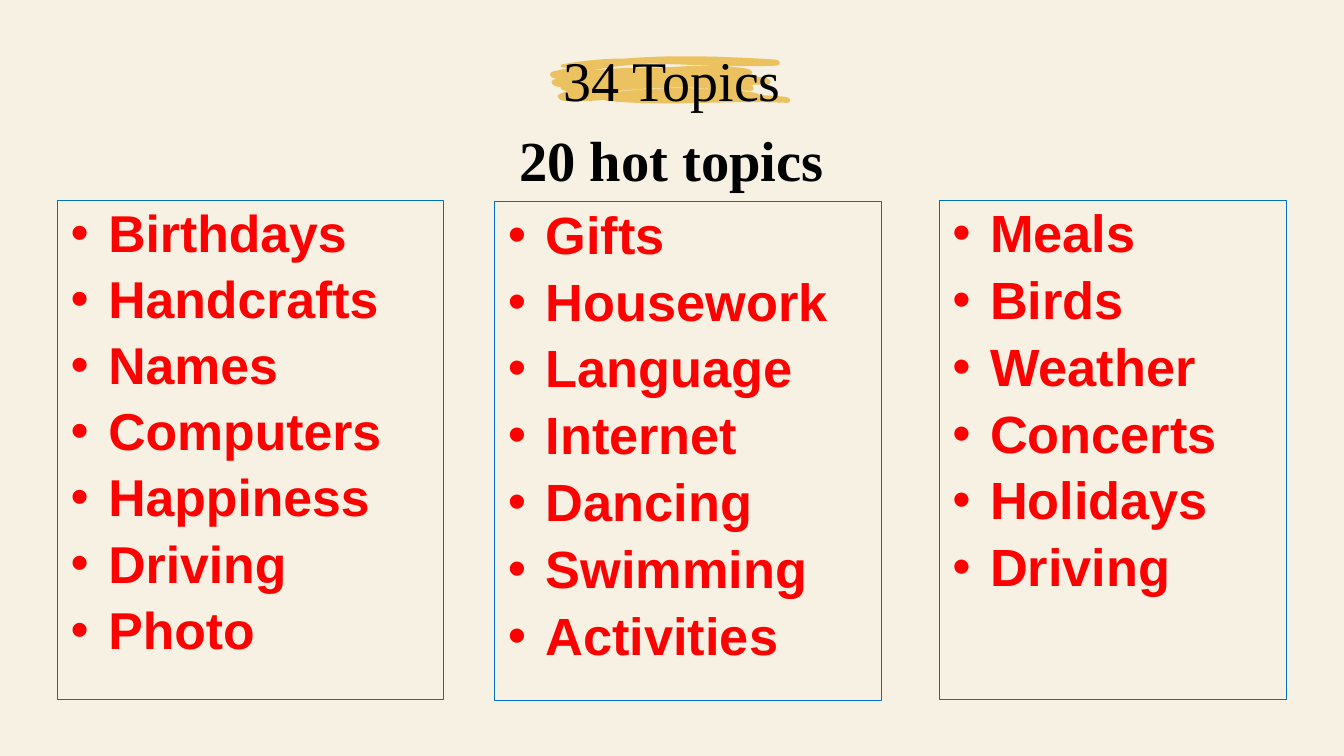
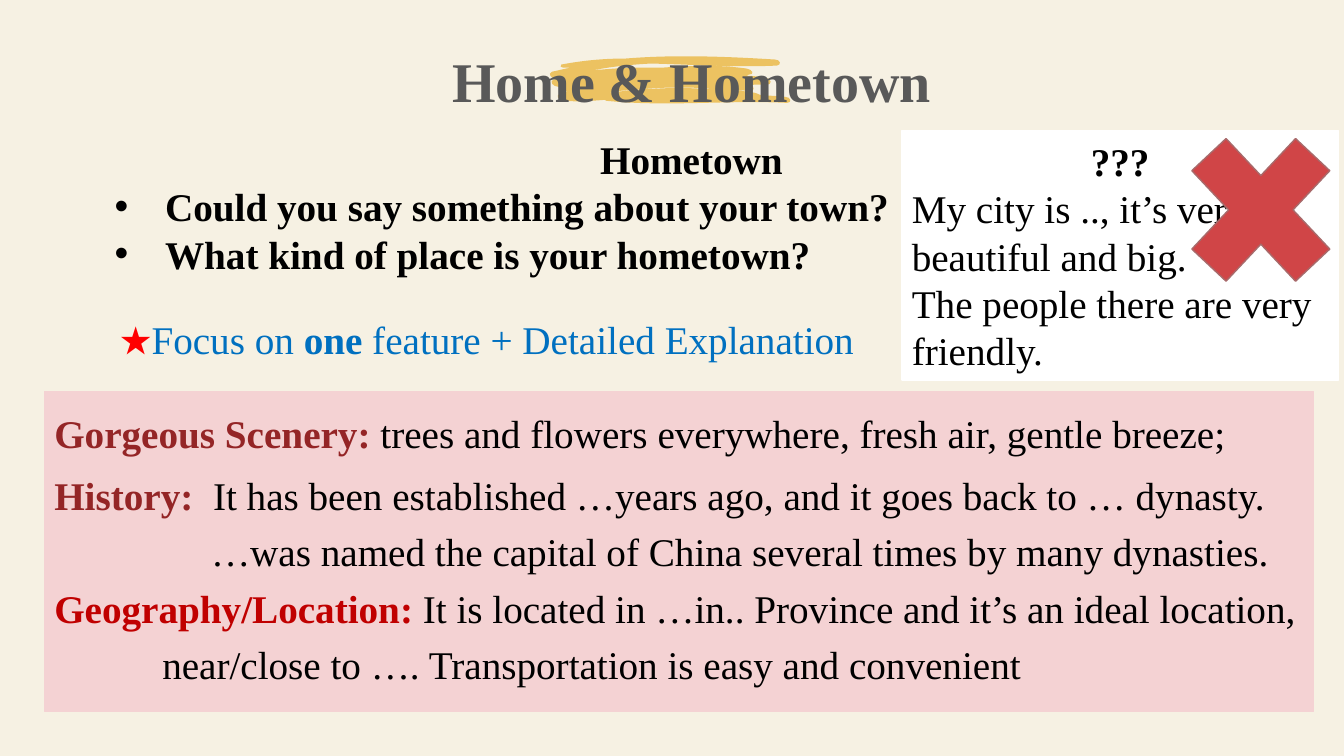
from math import cos, radians, sin

from lxml import etree
from pptx import Presentation
from pptx.dml.color import RGBColor
from pptx.enum.shapes import MSO_SHAPE
from pptx.enum.text import MSO_ANCHOR, MSO_AUTO_SIZE, PP_ALIGN
from pptx.oxml.ns import qn
from pptx.util import Cm, Pt

RECTANGLE, CROSS = MSO_SHAPE.RECTANGLE, MSO_SHAPE.MATH_MULTIPLY
TOP, MIDDLE = MSO_ANCHOR.TOP, MSO_ANCHOR.MIDDLE
GROW = MSO_AUTO_SIZE.SHAPE_TO_FIT_TEXT
LEFT, CENTER, JUSTIFY = PP_ALIGN.LEFT, PP_ALIGN.CENTER, PP_ALIGN.JUSTIFY

COLORS = {
    "paper": "F6F0E1", "brush": "ECC261", "black": "000000",
    "gray": "595959", "white": "FFFFFF", "red": "FF0000",
    "blue": "0070C0", "pink": "F4D2D3", "maroon": "942526",
    "crimson": "C00000", "cross": "D04547", "cross_edge": "A86A6B",
}
SERIF, SANS = "Times New Roman", "Arial"
PAGE_SIZE = (33.87, 19.05)
WIDE_INSETS = (0.33, 0.18, 0.33, 0.18)
INSETS = (0.25, 0.13, 0.25, 0.13)

# Formats of the text spans
BODY = {"name": SERIF, "size": 28, "bold": False, "color": "black"}
STRONG = BODY | {"bold": True}
LABEL = STRONG | {"color": "maroon"}
BLUE = BODY | {"color": "blue"}

# Brush stroke as it lies on the page: a start point, then Bezier curves
BRUSH_TILT = 15.6
BRUSH_FRAME = (242, 98)
BRUSH_CENTER = (121, 26)
BRUSH_START = (234, 42)
BRUSH_CURVES = """
226 41 217 41 209 40  208 39 206 39 204 38  186 35 169 34 151 34
135 33 120 33 105 34  88 34 72 37 55 38  84 34 114 32 145 33
163 34 181 35 198 36  204 37 204 32 200 30  205 30 210 30 215 30
222 30 221 24 214 23  208 22 201 21 195 21  196 21 197 20 198 20
204 20 202 15 196 14  168 10 141 11 113 13  107 13 101 13 95 13
77 13 60 14 42 16  61 12 81 10 101 9  143 10 185 13 226 11
231 10 229 5 224 5  175 2 124 0 76 4  54 4 33 6 12 10
10 11 12 14 14 13  17 13 19 13 22 13  15 14 9 16 3 17
-2 19 2 24 7 24  7 24 7 24 8 24  7 24 6 25 4 25
0 27 4 32 9 32  10 32 10 32 11 32  11 34 13 36 16 36
17 36 18 36 19 36  16 37 13 38 11 39  6 40 9 45 14 46
28 47 42 46 55 45  56 46 56 46 57 46  118 52 175 45 236 48
241 48 240 42 234 42
"""

HOT_TOPICS = [
    ((12.47, 5.09, 9.75, 12.57), 37.4,
     ["Gifts", "Housework", "Language", "Internet", "Dancing",
      "Swimming", "Activities"]),
    ((23.67, 5.05, 8.76, 12.57), 37.4,
     ["Meals", "Birds", "Weather", "Concerts", "Holidays", "Driving"]),
    ((1.45, 5.05, 9.74, 12.57), 37,
     ["Birthdays", "Handcrafts", "Names", "Computers", "Happiness",
      "Driving", "Photo"]),
]


def color(name):
    return RGBColor.from_string(COLORS[name])


def add_figure(page, kind, box, fill=None, line=None, weight=1):
    figure = page.shapes.add_shape(kind, *map(Cm, box))
    figure.shadow.inherit = False
    if fill:
        figure.fill.solid()
        figure.fill.fore_color.rgb = color(fill)
    else:
        figure.fill.background()
    if line:
        figure.line.color.rgb = color(line)
        figure.line.width = Pt(weight)
    else:
        figure.line.fill.background()
    return figure


def set_bullet(para, margin, indent, bullet):
    """Set the indents in centimetres and add a bullet if one is given."""
    properties = para._p.get_or_add_pPr()
    properties.set("marL", str(Cm(margin)))
    properties.set("indent", str(Cm(indent)))
    if bullet:
        font = etree.SubElement(properties, qn("a:buFont"))
        font.set("typeface", SANS)
        etree.SubElement(properties, qn("a:buChar")).set("char", bullet)


def write(shape, paragraphs, insets=INSETS, anchor=TOP, wrap=True):
    """Fill a shape; each paragraph is (its spans, its format)."""
    frame = shape.text_frame
    frame.word_wrap = wrap
    frame.vertical_anchor = anchor
    for side, inset in zip(("left", "top", "right", "bottom"), insets):
        setattr(frame, f"margin_{side}", Cm(inset))
    for index, (spans, layout) in enumerate(paragraphs):
        para = frame.add_paragraph() if index else frame.paragraphs[0]
        layout = {"alignment": LEFT} | layout
        set_bullet(para, layout.pop("margin", 0), layout.pop("indent", 0),
                   layout.pop("bullet", None))
        for key, value in layout.items():
            setattr(para, key, value)
        for text, look in spans:
            span = para.add_run()
            span.text = text
            look = look | {"size": Pt(look["size"])}
            span.font.color.rgb = color(look.pop("color"))
            for key, value in look.items():
                setattr(span.font, key, value)


def add_text(page, box, paragraphs, grow=False, **options):
    shape = page.shapes.add_textbox(*map(Cm, box))
    write(shape, paragraphs, **options)
    if grow:
        shape.text_frame.auto_size = GROW


def add_brush(page, box):
    """Draw the tilted brush stroke, scaled to its box before the tilt."""
    left, top, width, height = map(Cm, box)
    turn = radians(-BRUSH_TILT)

    def place(x, y):
        x, y = x - BRUSH_CENTER[0], y - BRUSH_CENTER[1]
        across = x * cos(turn) - y * sin(turn)
        down = x * sin(turn) + y * cos(turn)
        return (round(width * (0.5 + across / BRUSH_FRAME[0])),
                round(height * (0.5 + down / BRUSH_FRAME[1])))

    numbers = list(map(int, BRUSH_CURVES.split()))
    points = [place(*pair) for pair in zip(numbers[::2], numbers[1::2])]
    start = place(*BRUSH_START)
    builder = page.shapes.build_freeform(*start)
    builder.add_line_segments(points[2::3], close=True)
    brush = builder.convert_to_shape()
    brush.left, brush.top, brush.width, brush.height = left, top, width, height
    brush.rotation = BRUSH_TILT
    brush.shadow.inherit = False
    brush.fill.solid()
    brush.fill.fore_color.rgb = color("brush")
    brush.line.fill.background()

    # Turn the straight segments into curves
    outline = brush.element.find(".//" + qn("a:path"))
    for step in list(outline):
        outline.remove(step)
    outline.set("w", str(width))
    outline.set("h", str(height))
    steps = [("a:moveTo", [start])]
    steps += [("a:cubicBezTo", points[i:i + 3])
              for i in range(0, len(points), 3)]
    for tag, corners in steps + [("a:close", [])]:
        step = etree.SubElement(outline, qn(tag))
        for x, y in corners:
            point = etree.SubElement(step, qn("a:pt"))
            point.set("x", str(x))
            point.set("y", str(y))


def add_page(deck, title, box, look):
    """Add a page with the brushed title."""
    page = deck.slides.add_slide(deck.slide_layouts[6])
    add_brush(page, (13.84, 0.79, 6.15, 2.49))
    add_text(page, box, [([(title, look | {"size": 40})],
                          {"alignment": CENTER})], grow=True, wrap=False)
    return page


def add_paper(deck, page):
    """Lay the translucent paper sheet on the master, behind every page."""
    sheet = add_figure(page, RECTANGLE, (0, 0, *PAGE_SIZE), "paper")
    tint = sheet.element.spPr.find(".//" + qn("a:srgbClr"))
    etree.SubElement(tint, qn("a:alpha")).set("val", "90000")
    deck.slide_master.shapes.element.insert(2, sheet.element)


def add_topic_list(page, box, size, words):
    frame = add_figure(page, RECTANGLE, box, line="blue", weight=0.75)
    look = {"name": SANS, "size": size, "bold": True, "color": "red"}
    layout = {"margin": 0.95, "indent": -0.95, "bullet": "•",
              "line_spacing": 0.9}
    write(frame, [([(word, look)],
                   layout | ({"space_before": Pt(7.3)} if index else {}))
                  for index, word in enumerate(words)], insets=WIDE_INSETS)


def add_questions(page, box):
    bullet = {"margin": 1.27, "indent": -1.27, "bullet": "•"}
    add_text(page, box, [
        ([("Hometown", STRONG)], {"alignment": CENTER}),
        ([("Could you say something about your town?", STRONG)], bullet),
        ([("What kind of place is your hometown?", STRONG)], bullet),
    ])


def add_weak_answer(page, box):
    """White card with a crossed-out sample answer."""
    left, top, width, _ = box
    card = add_figure(page, RECTANGLE, box, "white", "white")
    write(card, [
        ([("???", STRONG)], {"alignment": CENTER}),
        ([("My city is .., it’s very beautiful and big.", BODY)], {}),
        ([("The people there are very friendly.", BODY)], {}),
    ], anchor=MIDDLE)
    add_figure(page, CROSS, (left + width - 4.47, top - 0.68, 5.03, 5.36),
               "cross", "cross_edge")


def add_feature_panel(page, box):
    """Pink panel: the scenery line on top, the other features below."""
    left, top, width, _ = box
    spaced = {"line_spacing": 1.2}
    panel = add_figure(page, RECTANGLE, box, "pink", "pink")
    write(panel, [
        ([("History:\t", LABEL),
          ("It has been established …years ago, and it goes back to … "
           "dynasty.", BODY)], spaced | {"margin": 4, "indent": -4}),
        ([("…was named the capital of China several times by many "
           "dynasties.", BODY)], spaced | {"margin": 3.95}),
        ([("Geography/Location: ", STRONG | {"color": "crimson"}),
          ("It is located in …in.. Province and it’s an ideal location,",
           BODY)], spaced),
        ([("near/close to …. Transportation is easy and convenient", BODY)],
         spaced | {"margin": 2.72}),
    ], insets=(0.25, 1.31, 0.25, 0.13), anchor=MIDDLE)
    add_text(page, (left, top + 0.1, width - 1.17, 1.57), [
        ([("Gorgeous Scenery: ", LABEL),
          ("trees and flowers everywhere, fresh air, gentle breeze;", BODY)],
         spaced | {"alignment": JUSTIFY}),
    ], grow=True)


def add_focus_line(page, box):
    add_text(page, box, [
        ([("★", BODY | {"color": "red"}), ("Focus on ", BLUE),
          ("one", BLUE | {"bold": True}),
          (" feature + Detailed Explanation", BLUE)], {}),
    ], grow=True, wrap=False)


def build_topics(deck):
    page = add_page(deck, "34 Topics", (13.94, 1.02, 5.99, 1.96), BODY)
    add_paper(deck, page)
    add_text(page, (1.85, 2.98, 30.15, 2.46), [
        ([("20 hot topics", STRONG | {"size": 40.4})],
         {"alignment": CENTER}),
    ], insets=WIDE_INSETS)
    for box, size, words in HOT_TOPICS:
        add_topic_list(page, box, size, words)


def build_hometown(deck):
    page = add_page(deck, "Home & Hometown", (11.14, 1.04, 12.57, 1.96),
                    STRONG | {"color": "gray"})
    add_questions(page, (2.64, 3.29, 29.57, 3.86))
    add_weak_answer(page, (22.73, 3.29, 11, 6.29))
    add_feature_panel(page, (1.12, 9.86, 31.98, 8.07))
    add_focus_line(page, (2.77, 7.82, 19.38, 1.45))


def main():
    deck = Presentation()
    deck.slide_width, deck.slide_height = map(Cm, PAGE_SIZE)
    build_topics(deck)
    build_hometown(deck)
    deck.save("out.pptx")


if __name__ == "__main__":
    main()
